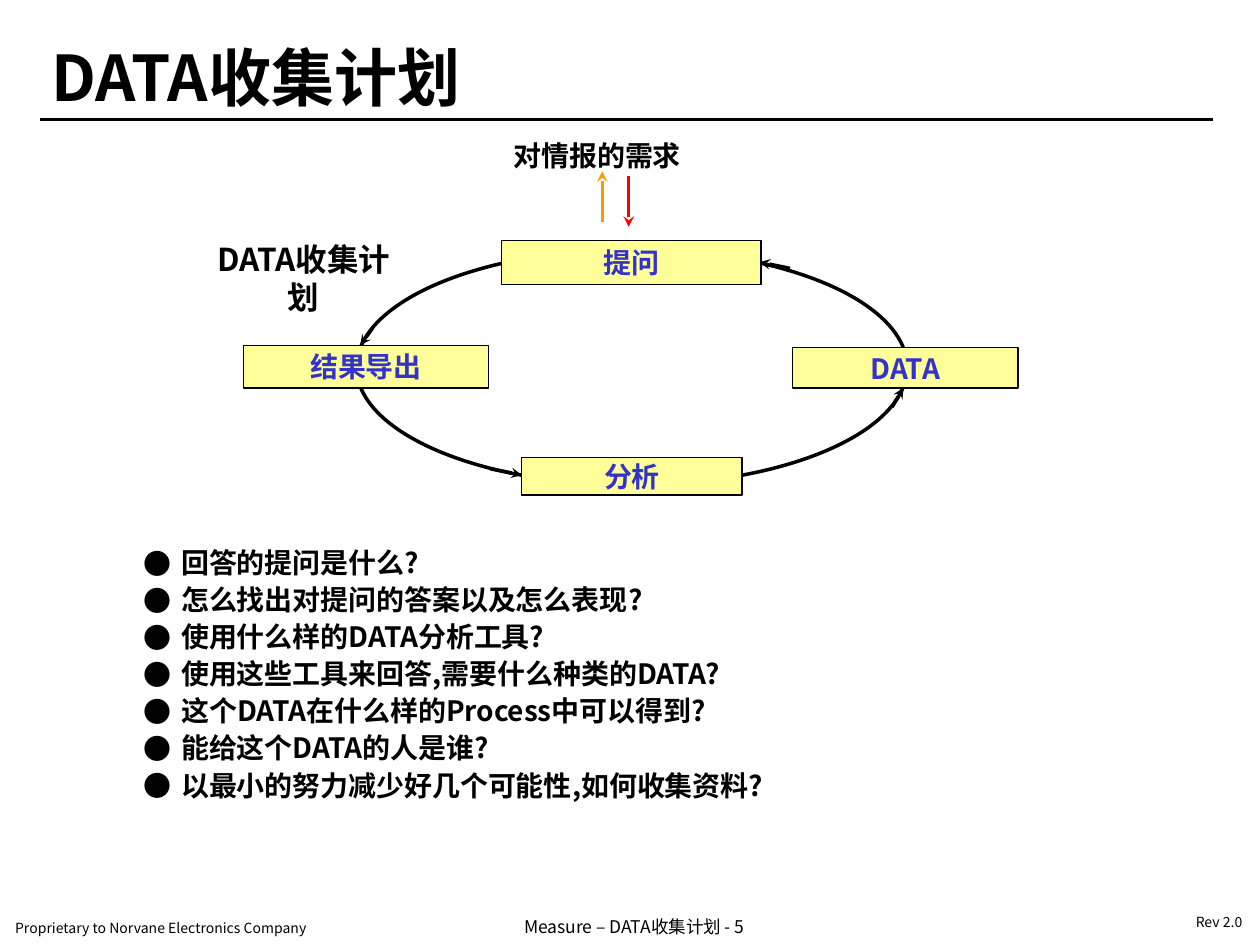
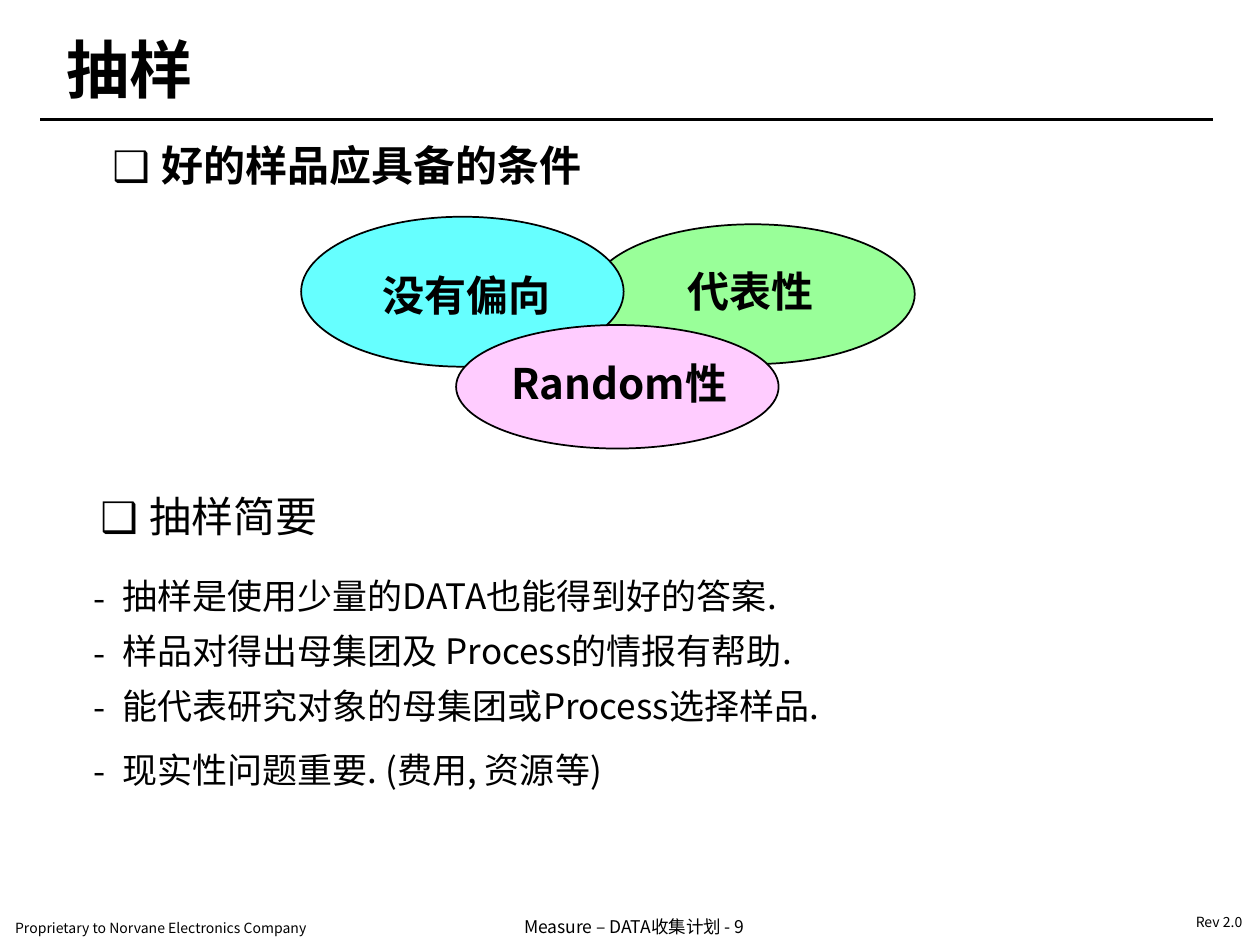
"""Build two slides on data collection and sampling."""
from lxml import etree
from pptx import Presentation
from pptx.dml.color import RGBColor
from pptx.enum import shapes, text
from pptx.oxml import ns
from pptx.util import Inches, Pt

HUES = {
    "ink": "000000", "word": "3333CC", "card": "FFFF99",
    "up": "FF9900", "down": "FF0000",
    "cyan": "66FFFF", "green": "99FF99", "pink": "FFCCFF",
}
SANS = "Noto Sans CJK SC"
FOOT = "Noto Sans CJK KR"
MARK = "Arial"
KIND = shapes.MSO_SHAPE
ALIGN = text.PP_ALIGN
ANCHOR = text.MSO_ANCHOR


def hue(name):
    """Return the named colour."""
    return RGBColor.from_string(HUES[name])


def dot(para, char, left, hang):
    """Give a paragraph a hanging bullet."""
    props = para._p.get_or_add_pPr()
    props.set("marL", str(Inches(left)))
    props.set("indent", str(-Inches(hang)))
    etree.SubElement(props, ns.qn("a:buFont")).set("typeface", SANS)
    etree.SubElement(props, ns.qn("a:buChar")).set("char", char)


def put(para, words, size, bold, font, color):
    """Add one formatted run."""
    run = para.add_run()
    run.text = words
    run.font.size = Pt(size)
    run.font.bold = bold
    run.font.name = font
    run.font.color.rgb = hue(color)
    east = etree.SubElement(run._r.get_or_add_rPr(), ns.qn("a:ea"))
    east.set("typeface", font)


def write(shape, *lines, size=16, bold=False, font=SANS, color="ink",
          align=ALIGN.LEFT, anchor=ANCHOR.TOP, pad=(0.1, 0.05), wrap=True,
          mark="", bullet=None, gap=0, lead=None):
    """Fill a shape with paragraphs in one format and return its frame."""
    frame = shape.text_frame
    frame.word_wrap = wrap
    frame.vertical_anchor = anchor
    frame.margin_left = frame.margin_right = Inches(pad[0])
    frame.margin_top = frame.margin_bottom = Inches(pad[1])
    for pos, line in enumerate(lines):
        para = frame.add_paragraph() if pos else frame.paragraphs[0]
        if bullet:
            dot(para, *bullet)
        para.alignment = align
        if pos and gap:
            para.space_before = Pt(gap)
        if lead:
            para.line_spacing = lead
        if mark:
            put(para, mark, size, False, MARK, color)
        put(para, line, size, bold, font, color)
    return frame


def box(slide, area, *lines, **form):
    """Add a text box."""
    shape = slide.shapes.add_textbox(*map(Inches, area))
    return write(shape, *lines, **form)


def form(slide, kind, area, fill=None, width=1):
    """Add an outlined shape."""
    shape = slide.shapes.add_shape(kind, *map(Inches, area))
    shape.shadow.inherit = False
    if fill:
        shape.fill.solid()
        shape.fill.fore_color.rgb = hue(fill)
    else:
        shape.fill.background()
    shape.line.color.rgb = hue("ink")
    shape.line.width = Pt(width)
    return shape


def rule(slide, start, end, color="ink", width=2.0, arrow=True):
    """Draw a straight line, with an arrowhead at its end if asked."""
    line = slide.shapes.add_connector(
        shapes.MSO_CONNECTOR.STRAIGHT, *map(Inches, start + end))
    line.line.color.rgb = hue(color)
    line.line.width = Pt(width)
    if arrow:
        tip = etree.SubElement(line.line._get_or_add_ln(), ns.qn("a:tailEnd"))
        tip.set("type", "stealth")
    etree.SubElement(line._element.spPr, ns.qn("a:effectLst"))


def base(deck, title, area, page):
    """Add a slide with its title, rule and footers."""
    slide = deck.slides.add_slide(deck.slide_layouts[6])
    foot = {"font": FOOT, "pad": (0.12, 0.06)}
    box(slide, (0, 7.24, 3.21, 0.25),
        "Proprietary to Norvane Electronics Company", size=8, **foot)
    box(slide, (4.04, 7.21, 2.7, 0.32),
        f"Measure – DATA收集计划 - {page}", size=10, **foot)
    box(slide, (9.37, 7.19, 0.62, 0.25), "Rev 2.0", size=8, wrap=False, **foot)
    rule(slide, (0.32, 0.95), (9.63, 0.95), width=1.5, arrow=False)
    box(slide, area, title, size=36, bold=True, anchor=ANCHOR.MIDDLE)
    return slide


def cycle(slide):
    """Draw the loop of four steps with its arrows."""
    form(slide, KIND.OVAL, (2.83, 1.98, 4.37, 1.87), width=2)
    steps = {
        "分析": (4.14, 3.63, 1.75, 0.3),
        "DATA": (6.29, 2.76, 1.79, 0.32),
        "提问": (3.98, 1.91, 2.06, 0.35),
        "结果导出": (1.93, 2.74, 1.95, 0.34),
    }
    for name, area in steps.items():
        card = form(slide, KIND.RECTANGLE, area, "card", 0.75)
        write(card, name, bold=True, color="word", align=ALIGN.CENTER,
              anchor=ANCHOR.MIDDLE, pad=(0, 0))
    tips = [
        ((3.89, 3.72), (4.14, 3.77)), ((2.96, 2.6), (2.86, 2.74)),
        ((7.08, 3.23), (7.17, 3.08)), ((6.27, 2.13), (6.03, 2.08)),
    ]
    for start, end in tips:
        rule(slide, start, end)


def plan(deck):
    """Build the collection plan slide."""
    slide = base(deck, "DATA收集计划", (0.31, 0.21, 7.94, 0.79), 5)
    box(slide, (1.9, 1.04, 5.68, 0.39), "对情报的需求", bold=True,
        align=ALIGN.CENTER, pad=(0.12, 0.06))
    rule(slide, (4.78, 1.76), (4.78, 1.36), "up")
    rule(slide, (4.99, 1.4), (4.99, 1.8), "down")
    cycle(slide)
    box(slide, (1.53, 1.86, 1.76, 0.4), "DATA收集计划", size=18, bold=True,
        align=ALIGN.CENTER)
    box(slide, (1.04, 4.28, 7.8, 2.14),
        "回答的提问是什么?",
        "怎么找出对提问的答案以及怎么表现?",
        "使用什么样的DATA分析工具?",
        "使用这些工具来回答,需要什么种类的DATA?",
        "这个DATA在什么样的Process中可以得到?",
        "能给这个DATA的人是谁?",
        "以最小的努力减少好几个可能性,如何收集资料?",
        bold=True, bullet=("●", 0.3, 0.3), gap=2)


def sample(deck):
    """Build the sampling slide."""
    slide = base(deck, "抽样", (0.43, 0.08, 2.15, 0.92), 9)
    head = {"size": 24, "mark": "❑ ", "align": ALIGN.CENTER}
    box(slide, (0.74, 1.06, 4.03, 0.5), "好的样品应具备的条件", bold=True, **head)
    traits = [
        ("代表性", "green", (4.69, 1.78, 2.57, 1.11), (4.96, 2.05, 1.99, 0.52)),
        ("没有偏向", "cyan", (2.39, 1.72, 2.56, 1.19), (2.71, 2.04, 1.99, 0.59)),
        ("Random性", "pink", (3.62, 2.58, 2.56, 0.98), (3.92, 2.79, 1.99, 0.49)),
    ]
    for name, fill, area, spot in traits:
        form(slide, KIND.OVAL, area, fill)
        box(slide, spot, name, size=24, bold=True, align=ALIGN.CENTER,
            anchor=ANCHOR.MIDDLE, pad=(0, 0), wrap=False)
    notes = box(slide, (0.57, 4.47, 9.08, 2),
                "抽样是使用少量的DATA也能得到好的答案.",
                "样品对得出母集团及 Process的情报有帮助.",
                "能代表研究对象的母集团或Process选择样品.",
                "现实性问题重要. (费用, 资源等)",
                size=20, pad=(0.11, 0.06), bullet=("-", 0.29, 0.23),
                gap=5, lead=1.1)
    notes.paragraphs[-1].line_spacing = 1.3
    box(slide, (0.38, 3.84, 2.56, 0.5), "抽样简要", **head)


def main():
    """Build and save the deck."""
    deck = Presentation()
    deck.slide_width, deck.slide_height = Inches(10), Inches(7.5)
    plan(deck)
    sample(deck)
    deck.save("out.pptx")


if __name__ == "__main__":
    main()
